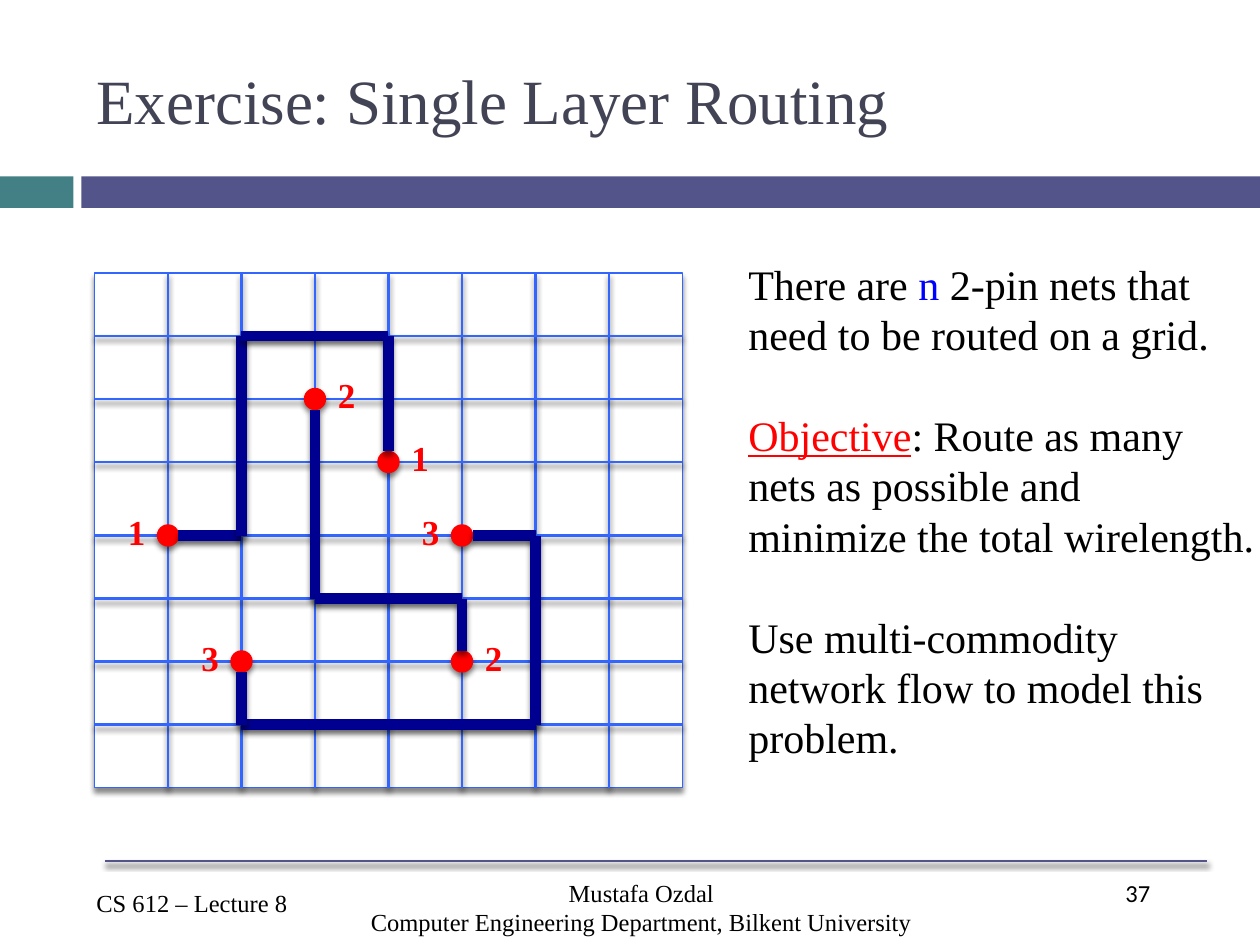
from lxml import etree
from pptx import Presentation
from pptx.dml.color import RGBColor
from pptx.enum.shapes import MSO_CONNECTOR, MSO_SHAPE
from pptx.enum.text import MSO_ANCHOR, PP_ALIGN
from pptx.oxml import parse_xml
from pptx.util import Pt

RECT, OVAL, LINE = MSO_SHAPE.RECTANGLE, MSO_SHAPE.OVAL, MSO_CONNECTOR.STRAIGHT
LEFT, CENTER = PP_ALIGN.LEFT, PP_ALIGN.CENTER
TOP, MIDDLE = MSO_ANCHOR.TOP, MSO_ANCHOR.MIDDLE
rgb = RGBColor.from_string

SERIF = "Times New Roman"
BLACK, RED, PURPLE, GRID, WIRE = "000000", "FF0000", "53548A", "3366FF", "000090"
SHADOW = """<a:effectLst xmlns:a="http://schemas.openxmlformats.org/drawingml/2006/main">
  <a:outerShdw blurRad="38100" dist="30000" dir="5400000" rotWithShape="0">
    <a:srgbClr val="000000"><a:alpha val="45000"/></a:srgbClr>
  </a:outerShdw>
</a:effectLst>"""

prs = Presentation()
prs.slide_width, prs.slide_height = Pt(720), Pt(540)
shapes = prs.slides.add_slide(prs.slide_layouts[6]).shapes


def outline(s, color, width):
    """Give a shape or connector its line and the soft shadow below it."""
    s.line.color.rgb = rgb(color)
    s.line.width = Pt(width)
    s._element.spPr.append(parse_xml(SHADOW))


def add_text(x, y, w, h, lines, size, color=BLACK, font=SERIF, bold=False,
             align=LEFT, anchor=TOP):
    """Add a text box; each line is a list of run texts."""
    tf = shapes.add_textbox(Pt(x), Pt(y), Pt(w), Pt(h)).text_frame
    tf.word_wrap = True
    tf.vertical_anchor = anchor
    for i, runs in enumerate(lines):
        p = tf.paragraphs[0] if i == 0 else tf.add_paragraph()
        for text in runs:
            p.add_run().text = text
        p.alignment = align
        p.font.name, p.font.size, p.font.bold = font, Pt(size), bold
        p.font.color.rgb = rgb(color)
    return tf


# Header bars, footer and title
for x, w, color in [(0, 42, "438086"), (46.5, 673.5, PURPLE)]:
    s = shapes.add_shape(RECT, Pt(x), Pt(100.8), Pt(w), Pt(18))
    s.shadow.inherit = False
    s.fill.solid()
    s.fill.fore_color.rgb = rgb(color)
    s.line.fill.background()

outline(shapes.add_connector(LINE, Pt(60), Pt(492), Pt(690), Pt(492)), PURPLE, 1.5)
add_text(636, 498, 54, 36, [["37"]], 14, font="Calibri")
add_text(48, 504, 132, 24.5, [["CS 612 – Lecture 8"]], 14)
add_text(120, 498, 493, 42,
         [["Mustafa Ozdal"], ["Computer Engineering Department, Bilkent University"]],
         14, align=CENTER)
add_text(48, 18, 642, 78, [["Exercise: Single Layer Routing"]], 36, "424456",
         anchor=MIDDLE)

# Routing grid: the row between lines 3 and 4 is taller than the others
xs = [54 + 42 * i for i in range(9)]
ys = [156 + 36 * i + (6 if i > 3 else 0) for i in range(9)]
s = shapes.add_shape(RECT, Pt(xs[0]), Pt(ys[0]), Pt(xs[-1] - xs[0]), Pt(ys[-1] - ys[0]))
s.fill.solid()
s.fill.fore_color.rgb = rgb("FFFFFF")
outline(s, GRID, 0.79)

grid_lines = [(x, ys[0], x, ys[-1]) for x in xs[1:-1]]
grid_lines += [(xs[0], y, xs[-1], y) for y in ys[1:-1]]
for ends in grid_lines:
    outline(shapes.add_connector(LINE, *map(Pt, ends)), GRID, 1.5)

# Each net: its (column, row) corners, and the label side of its first and last pin
RADIUS = 6
LABEL_DX = {"left": -30, "right": 6}
nets = {
    "1": ([(1, 4), (2, 4), (2, 1), (4, 1), (4, 3)], ("left", "right")),
    "2": ([(3, 2), (3, 5), (5, 5), (5, 6)], ("right", "right")),
    "3": ([(5, 4), (6, 4), (6, 7), (2, 7), (2, 6)], ("left", "left")),
}
wires, labels = [], []
for name, (corners, sides) in nets.items():
    points = [(xs[c], ys[r]) for c, r in corners]
    pins = [points[0], points[-1]]
    for (x, y), side in zip(pins, sides):
        s = shapes.add_shape(OVAL, Pt(x - RADIUS), Pt(y - RADIUS),
                             Pt(2 * RADIUS), Pt(2 * RADIUS))
        s.fill.solid()
        s.fill.fore_color.rgb = rgb(RED)
        outline(s, RED, 0.79)
        labels.append((name, x + LABEL_DX[side], y - 18))
    # Wires stop at the rim of the pins
    for end, near in [(0, 1), (-1, -2)]:
        (x, y), (nx, ny) = points[end], points[near]
        step = RADIUS / (abs(nx - x) + abs(ny - y))
        points[end] = (x + (nx - x) * step, y + (ny - y) * step)
    wires += [a + b for a, b in zip(points, points[1:])]

for ends in wires:
    outline(shapes.add_connector(LINE, *map(Pt, ends)), WIRE, 6)
for name, x, y in labels:
    add_text(x, y, 24.5, 31.5, [[name]], 20, RED, bold=True)

# Problem statement
tf = add_text(420.5, 144, 306.5, 298, [
    ["There are ", "n", " 2-pin nets that"],
    ["need to be routed on a grid."],
    ["Objective", ": Route as many"],
    ["nets as possible and"],
    ["minimize the total wirelength."],
    ["Use multi-commodity"],
    ["network flow to model this"],
    ["problem."],
], 24)
for p in tf.paragraphs:
    p.line_spacing = Pt(28.8)
for i in (2, 5):
    tf.paragraphs[i].space_before = Pt(28.8)
tf.paragraphs[0].runs[1].font.color.rgb = rgb("0000FF")
objective = tf.paragraphs[2].runs[0].font
objective.color.rgb = rgb(RED)
objective.underline = True

prs.save("out.pptx")
